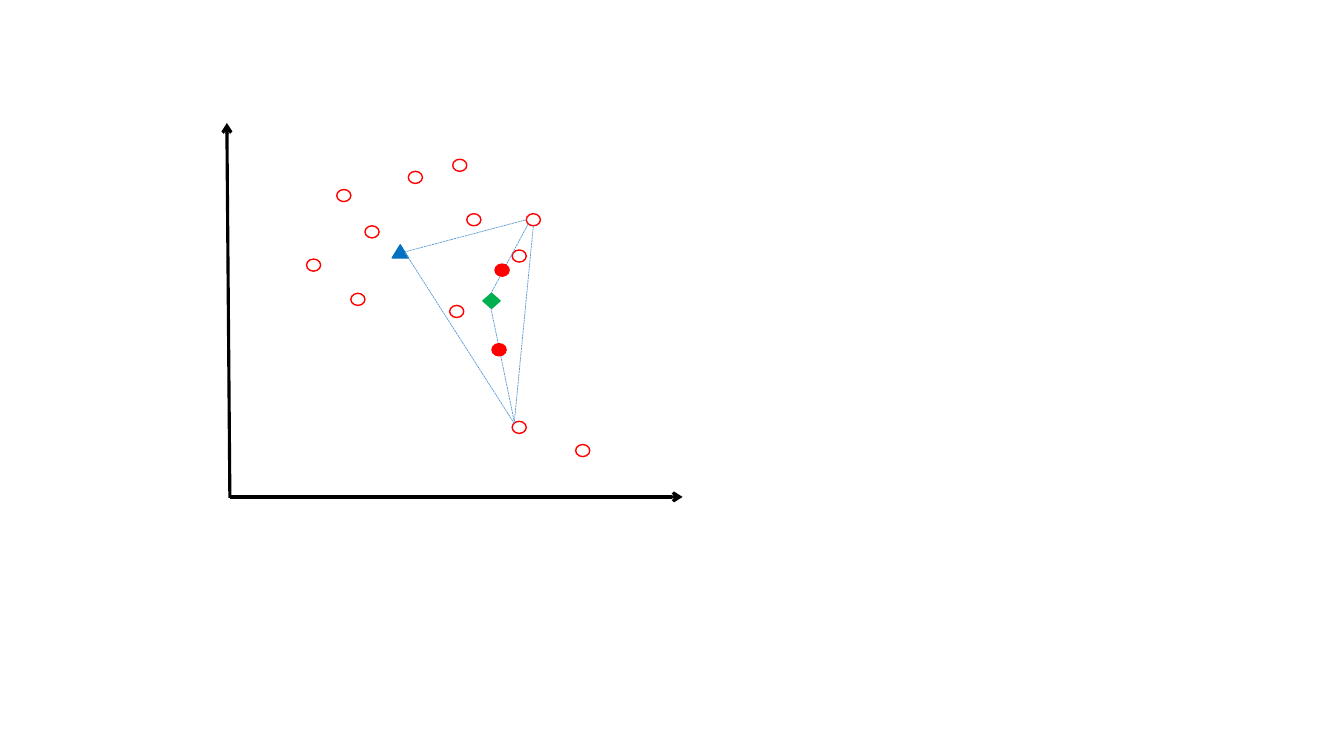
from dataclasses import dataclass

import pptx
import pptx.dml.color
import pptx.enum.dml
import pptx.enum.shapes
import pptx.oxml.ns
import pptx.oxml.xmlchemy
import pptx.slide
import pptx.util
from lxml import etree

EMU_PER_PX = 9144
COLORS = {
    "axis": "000000",
    "sample": "FF0000",
    "query": "0070C0",
    "center": "00B050",
    "edge": "5B9BD5",
}
SHAPES = pptx.enum.shapes.MSO_SHAPE


@dataclass(frozen=True)
class Marker:
    left: int
    top: int
    width: int = 14
    height: int = 12
    kind: SHAPES = SHAPES.OVAL
    color: str = "sample"
    filled: bool = True


@dataclass(frozen=True)
class Line:
    start: tuple[int, int]
    end: tuple[int, int]
    color: str = "edge"
    weight: float = 0.5
    is_axis: bool = False


def px(length: int) -> pptx.util.Emu:
    return pptx.util.Emu(length * EMU_PER_PX)


def rgb(name: str) -> pptx.dml.color.RGBColor:
    return pptx.dml.color.RGBColor.from_string(COLORS[name])


def draw_marker(slide: pptx.slide.Slide, marker: Marker) -> None:
    shape = slide.shapes.add_shape(
        marker.kind, px(marker.left), px(marker.top), px(marker.width), px(marker.height)
    )
    shape.shadow.inherit = False
    if marker.filled:
        shape.fill.solid()
        shape.fill.fore_color.rgb = rgb(marker.color)
    else:
        shape.fill.background()
    shape.line.color.rgb = rgb(marker.color)
    shape.line.width = pptx.util.Pt(1)


def draw_line(slide: pptx.slide.Slide, line: Line) -> None:
    connector = slide.shapes.add_connector(
        pptx.enum.shapes.MSO_CONNECTOR.STRAIGHT, *map(px, line.start + line.end)
    )
    connector.line.color.rgb = rgb(line.color)
    connector.line.width = pptx.util.Pt(line.weight)
    if line.is_axis:
        outline = connector.line._get_or_add_ln()
        etree.SubElement(outline, pptx.oxml.ns.qn("a:tailEnd"), type="arrow")
    else:
        connector.line.dash_style = pptx.enum.dml.MSO_LINE.SQUARE_DOT
    etree.SubElement(connector._element.spPr, pptx.oxml.ns.qn("a:effectLst"))


AXES = [
    Line((228, 494), (225, 122), "axis", 2.25, True),
    Line((228, 493), (677, 493), "axis", 2.25, True),
]
SAMPLE_POSITIONS = [
    (522, 212), (334, 188), (405, 170), (508, 248), (446, 303), (449, 158),
    (508, 418), (362, 224), (571, 441), (304, 257), (348, 291), (463, 212),
]
SAMPLES = [Marker(left, top, filled=False) for left, top in SAMPLE_POSITIONS]
QUERY = Marker(389, 243, 16, 13, SHAPES.ISOSCELES_TRIANGLE, "query")
CENTER = Marker(479, 291, 17, 15, SHAPES.DIAMOND, "center")
TRIANGLE_EDGES = [
    Line((401, 250), (522, 218)),
    Line((402, 251), (510, 420)),
    Line((529, 224), (510, 420)),
]
CENTER_EDGES = [
    Line((524, 222), (487, 291)),
    Line((487, 306), (510, 418)),
]
NEW_SAMPLES = [Marker(491, 262), Marker(488, 341)]


def main() -> None:
    presentation = pptx.Presentation()
    presentation.slide_width = px(1333)
    presentation.slide_height = px(750)
    slide = presentation.slides.add_slide(presentation.slide_layouts[6])
    for item in [
        *AXES, *SAMPLES, QUERY, *TRIANGLE_EDGES, CENTER, *CENTER_EDGES, *NEW_SAMPLES
    ]:
        if isinstance(item, Line):
            draw_line(slide, item)
        else:
            draw_marker(slide, item)
    presentation.save("out.pptx")


if __name__ == "__main__":
    main()
